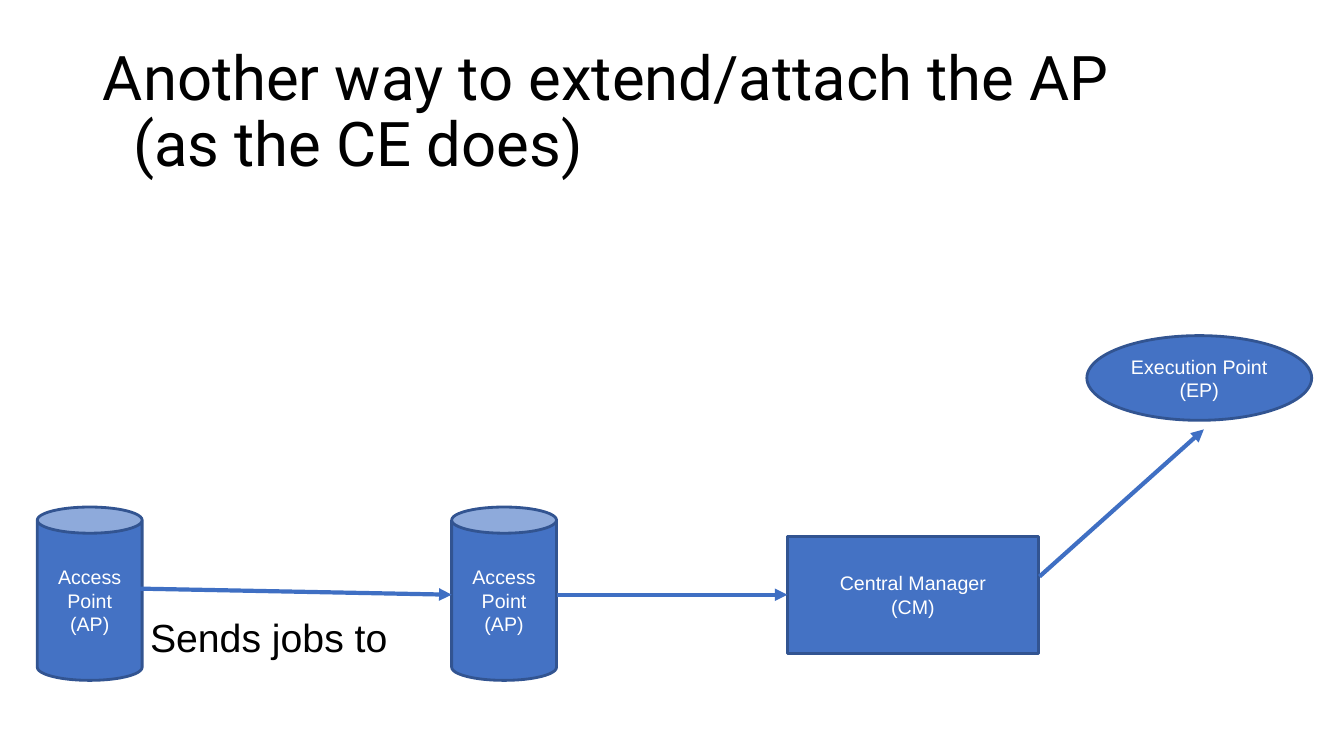
from dataclasses import dataclass

from pptx import Presentation
from pptx import util as u
from pptx.dml.color import RGBColor
from pptx.enum import shapes, text
from pptx.oxml import ns, xmlchemy


@dataclass(frozen=True)
class Theme:
    """Colours, fonts and sizes of the slide."""
    fill: str = "4472C4"
    edge: str = "325491"
    arrow: str = "3F6FC3"
    ink: str = "000000"
    pale: str = "FFFFFF"
    head: str = "Roboto"
    body: str = "Arial"
    title: int = 44
    note: int = 28
    label: int = 14
    border: int = 2
    stroke: int = 3


LOOK = Theme()
CAN = (1.04, 1.72)
MID = 5.9


def put(item, values):
    """Set attributes of an item from a dict."""
    for name, value in values.items():
        setattr(item, name, value)


def inches(*sizes):
    """Turn numbers into lengths."""
    return [u.Inches(size) for size in sizes]


def write(frame, words, font, size, color, align, anchor):
    """Fill a text frame and style each paragraph."""
    frame.text = words
    put(frame, {"word_wrap": True, "vertical_anchor": anchor})
    for para in frame.paragraphs:
        para.alignment = align
        put(para.font, {"name": font, "size": u.Pt(size)})
        para.font.color.rgb = RGBColor.from_string(color)


def stroke(line, color, width):
    """Colour a line and set its width."""
    line.color.rgb = RGBColor.from_string(color)
    line.width = u.Pt(width)


def head(slide, words):
    """Place the title with a small indent on its second line."""
    title = slide.shapes.title
    box = inches(0.92, 0.4, 11.5, 1.45)
    put(title, dict(zip(("left", "top", "width", "height"), box)))
    frame = title.text_frame
    write(frame, words, LOOK.head, LOOK.title, LOOK.ink,
          text.PP_ALIGN.LEFT, text.MSO_ANCHOR.MIDDLE)
    frame.auto_size = text.MSO_AUTO_SIZE.NONE
    para = frame.paragraphs[0]
    para.line_spacing = 0.9
    shift = u.Inches(0.3)
    props = para._p.get_or_add_pPr()
    props.set("marL", str(shift))
    props.set("indent", str(-shift))


def node(slide, kind, box, words):
    """Add a filled shape with a centred label."""
    shape = slide.shapes.add_shape(kind, *inches(*box))
    shape.shadow.inherit = False
    shape.fill.solid()
    shape.fill.fore_color.rgb = RGBColor.from_string(LOOK.fill)
    stroke(shape.line, LOOK.edge, LOOK.border)
    write(shape.text_frame, words, LOOK.body, LOOK.label, LOOK.pale,
          text.PP_ALIGN.CENTER, text.MSO_ANCHOR.MIDDLE)
    return shape


def note(slide, box, words):
    """Add a plain text box."""
    frame = slide.shapes.add_textbox(*inches(*box)).text_frame
    write(frame, words, LOOK.body, LOOK.note, LOOK.ink,
          text.PP_ALIGN.LEFT, text.MSO_ANCHOR.TOP)
    frame.auto_size = text.MSO_AUTO_SIZE.SHAPE_TO_FIT_TEXT


def arrow(slide, start, end):
    """Add a straight arrow."""
    link = slide.shapes.add_connector(
        shapes.MSO_CONNECTOR.STRAIGHT, *inches(*start, *end))
    stroke(link.line, LOOK.arrow, LOOK.stroke)
    tip = xmlchemy.OxmlElement("a:tailEnd")
    tip.set("type", "triangle")
    props = link._element.spPr
    props.find(ns.qn("a:ln")).append(tip)
    props.append(xmlchemy.OxmlElement("a:effectLst"))
    return link


def main():
    """Build and save the slide."""
    deck = Presentation()
    put(deck, {"slide_width": u.Inches(13.33), "slide_height": u.Inches(7.5)})
    slide = deck.slides.add_slide(deck.slide_layouts[5])
    kind = shapes.MSO_SHAPE
    head(slide, "Another way to extend/attach the AP\v(as the CE does)")
    for left in (0.37, 4.48):
        node(slide, kind.CAN, (left, 5.03, *CAN), "Access\nPoint\n(AP)")
    note(slide, (1.39, 6.04, 2.6, 0.57), "Sends jobs to")
    hub = node(slide, kind.RECTANGLE, (7.81, 5.32, 2.49, 1.16),
               "Central Manager\n(CM)")
    arrow(slide, (5.52, MID), (7.81, MID)).end_connect(hub, 1)
    arrow(slide, (1.39, 5.84), (4.48, MID))
    node(slide, kind.OVAL, (10.78, 3.33, 2.23, 0.84), "Execution Point\n(EP)")
    arrow(slide, (10.31, 5.72), (11.94, 4.26))
    deck.save("out.pptx")


if __name__ == "__main__":
    main()
